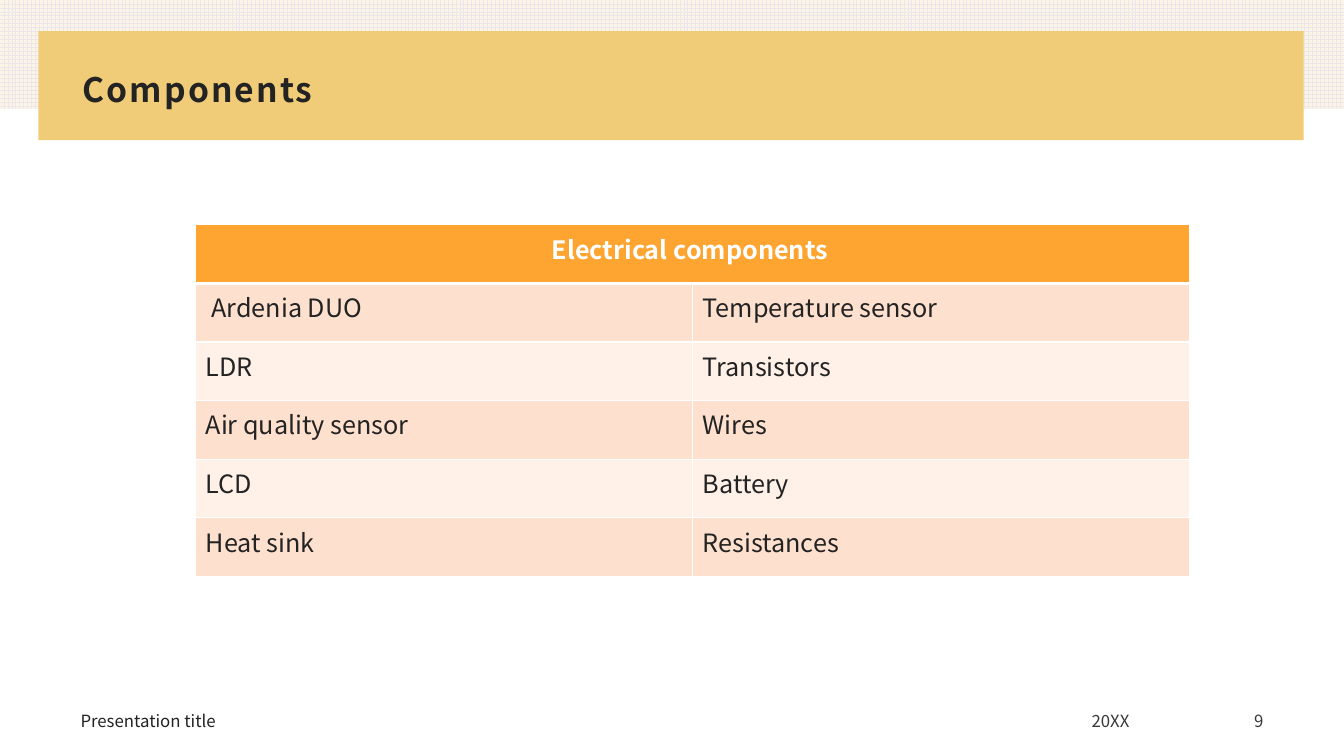
from lxml.etree import SubElement
from pptx import Presentation
from pptx.dml.color import RGBColor
from pptx.enum.dml import MSO_PATTERN
from pptx.enum.shapes import MSO_SHAPE
from pptx.enum.text import MSO_ANCHOR, PP_ALIGN
from pptx.oxml import parse_xml
from pptx.oxml.ns import nsdecls, qn
from pptx.util import Inches, Pt

FONT = "Noto Sans CJK JP"
COLORS = {
    "ink": "232323", "muted": "393939", "white": "FFFFFF", "gold": "F0CC79",
    "grid": "EBE6EB", "cream": "FCF5E5", "orange": "FDA431",
    "peach": "FEE0CE", "pale": "FFF0E8",
}
TITLE = "Components"
TABLE_HEADING = "Electrical components "
COMPONENTS = [
    (" Ardenia DUO", "Temperature sensor"),
    ("LDR", "Transistors"),
    ("Air quality sensor", "Wires"),
    ("LCD", "Battery"),
    ("Heat sink", "Resistances"),
]
FOOTERS = [
    ("Presentation title", 0.7, 6.88, "ink", PP_ALIGN.LEFT),
    ("20XX", 7.98, 3.32, "muted", PP_ALIGN.RIGHT),
    ("9", 11.71, 0.92, "muted", PP_ALIGN.RIGHT),
]
TABLE_BOX = (1.94, 2.23, 9.86, 3.49)


def rgb(name):
    """Return the named colour."""
    return RGBColor.from_string(COLORS[name])


def write(text_frame, text, size, color, bold=False, align=PP_ALIGN.LEFT):
    """Fill a text frame with one styled paragraph and return it."""
    paragraph = text_frame.paragraphs[0]
    paragraph.text = text
    paragraph.alignment = align
    font = paragraph.font
    font.name, font.size, font.bold = FONT, Pt(size), bold
    font.color.rgb = rgb(color)
    return paragraph


def add_band(slide, *box):
    """Add a rectangle without line or shadow."""
    shape = slide.shapes.add_shape(MSO_SHAPE.RECTANGLE, *map(Inches, box))
    shape.shadow.inherit = False
    shape.line.fill.background()
    return shape


def add_text(slide, box, *style):
    """Add a wrapped, vertically centred text box."""
    text_frame = slide.shapes.add_textbox(*map(Inches, box)).text_frame
    text_frame.word_wrap = True
    text_frame.vertical_anchor = MSO_ANCHOR.MIDDLE
    return text_frame, write(text_frame, *style)


def style_cell(cell, fill, bottom=1, top=1):
    """Give a cell its fill and white borders."""
    properties = cell._tc.get_or_add_tcPr()
    for side, width in (("L", 1), ("R", 1), ("T", top), ("B", bottom)):
        line = parse_xml(f'<a:ln{side} {nsdecls("a")} w="{Pt(width)}"/>')
        solid = SubElement(line, qn("a:solidFill"))
        SubElement(solid, qn("a:srgbClr"), val=COLORS["white"])
        properties.append(line)
    cell.fill.solid()
    cell.fill.fore_color.rgb = rgb(fill)


def add_components_table(slide):
    """Add the table with its merged heading and banded rows."""
    table = slide.shapes.add_table(
        len(COMPONENTS) + 1, 2, *map(Inches, TABLE_BOX)).table
    heading = table.cell(0, 0)
    heading.merge(table.cell(0, 1))
    write(heading.text_frame, TABLE_HEADING, 18, "white", True, PP_ALIGN.CENTER)
    for column in range(2):
        style_cell(table.cell(0, column), "orange", bottom=3)
    for row, names in enumerate(COMPONENTS, 1):
        for column, name in enumerate(names):
            cell = table.cell(row, column)
            write(cell.text_frame, name, 18, "ink")
            style_cell(cell, "peach" if row % 2 else "pale", top=3 if row == 1 else 1)


def main():
    """Build and save the components slide."""
    presentation = Presentation()
    presentation.slide_width, presentation.slide_height = Inches(13.33), Inches(7.5)
    slide = presentation.slides.add_slide(presentation.slide_layouts[6])

    grid_fill = add_band(slide, 0, 0, 13.33, 1.08).fill
    grid_fill.patterned()
    grid_fill.pattern = MSO_PATTERN.LARGE_GRID
    grid_fill.fore_color.rgb, grid_fill.back_color.rgb = rgb("grid"), rgb("cream")
    title_fill = add_band(slide, 0.38, 0.31, 12.55, 1.08).fill
    title_fill.solid()
    title_fill.fore_color.rgb = rgb("gold")

    text_frame, paragraph = add_text(
        slide, (0.7, 0.52, 11.93, 0.75), TITLE, 24, "ink", True)
    text_frame.margin_left = text_frame.margin_right = Inches(0.12)
    text_frame.margin_top, text_frame.margin_bottom = Inches(0.12), Inches(0.1)
    paragraph.line_spacing = 0.9
    paragraph.runs[0]._r.get_or_add_rPr().set("spc", "150")

    for text, left, width, color, align in FOOTERS:
        add_text(slide, (left, 6.95, width, 0.4), text, 12, color, False, align)
    add_components_table(slide)
    presentation.save("out.pptx")


if __name__ == "__main__":
    main()
